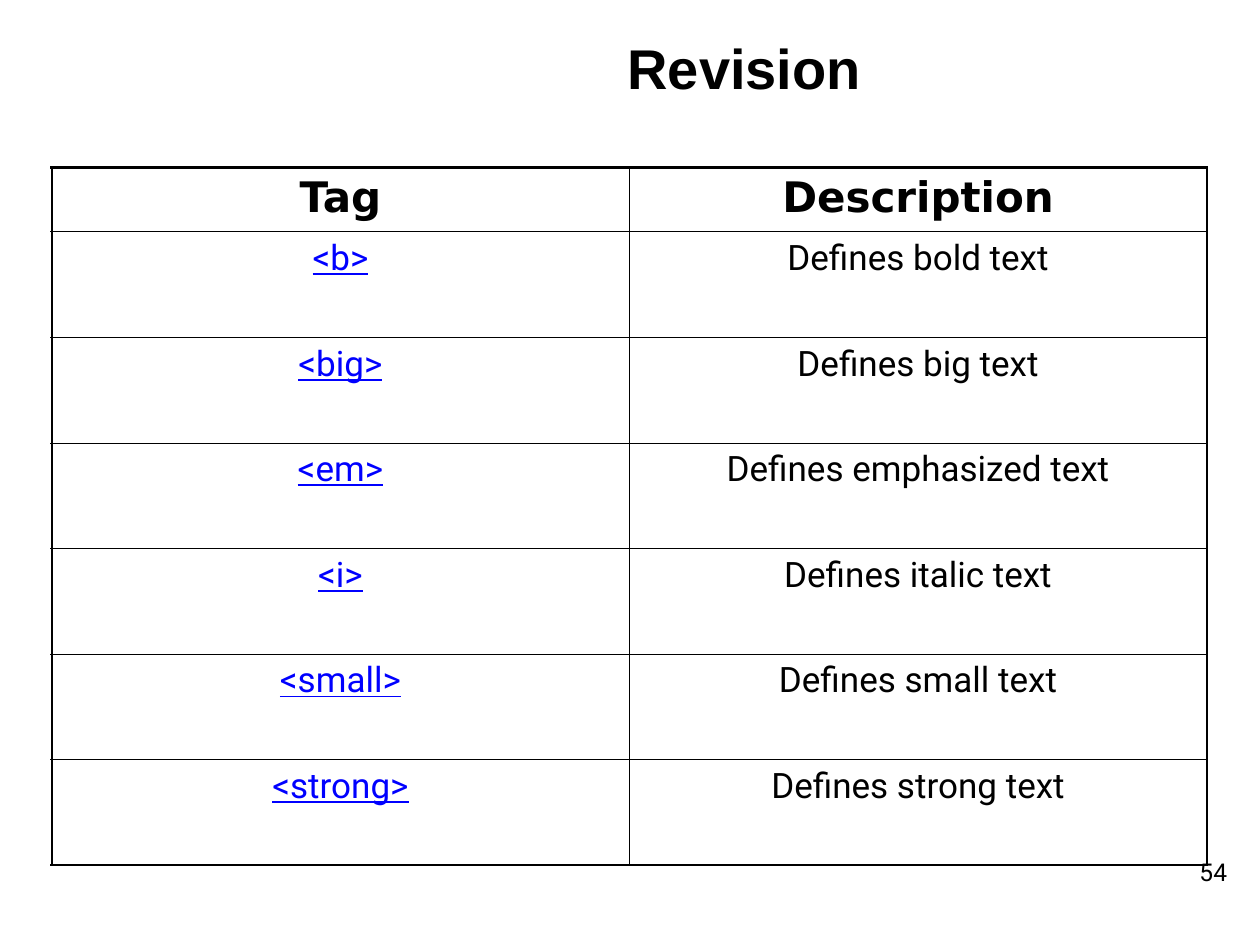
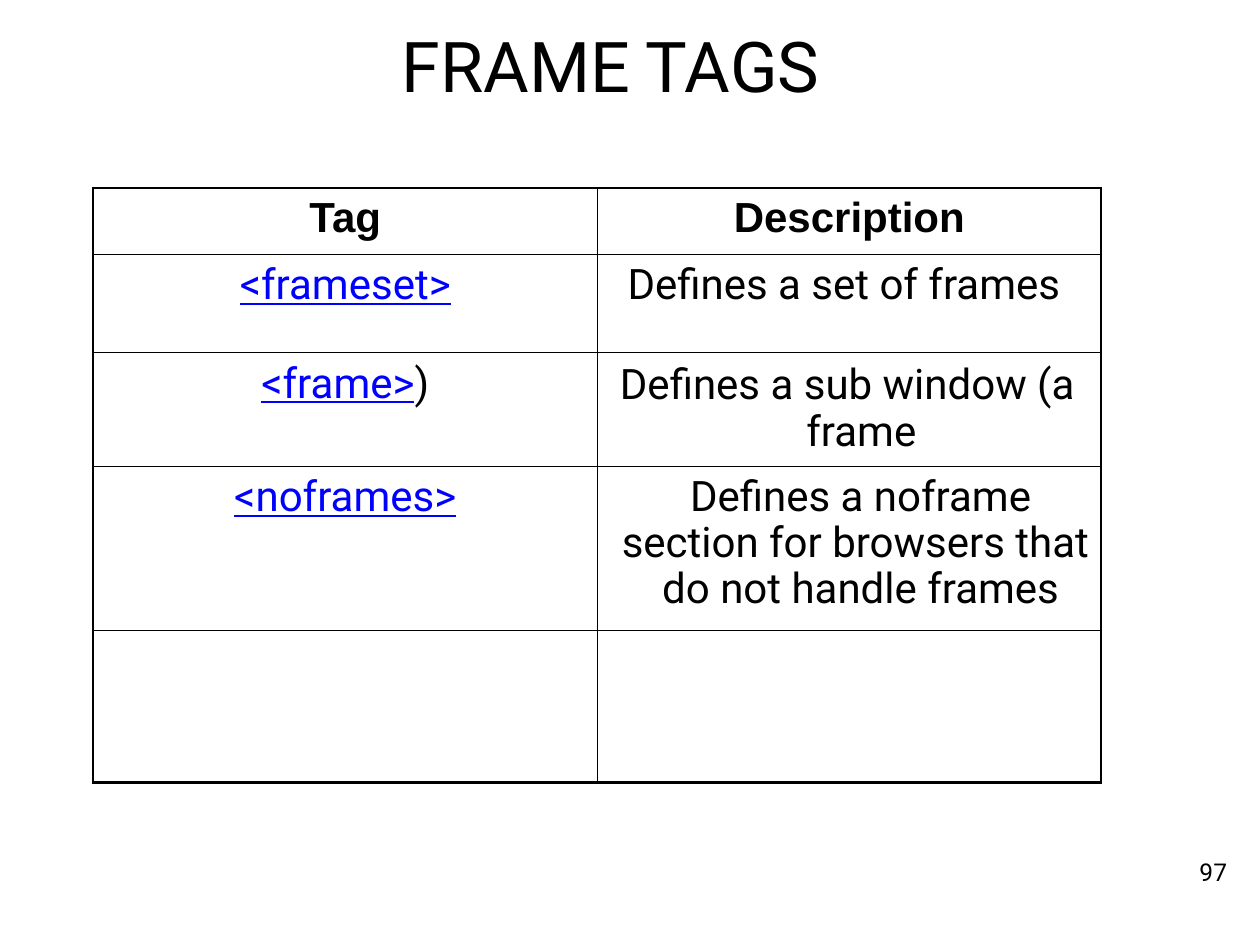
from dataclasses import dataclass

from lxml.etree import SubElement
from pptx import Presentation
from pptx.dml.color import RGBColor
from pptx.enum.text import PP_ALIGN
from pptx.oxml.ns import qn
from pptx.util import Inches, Pt

BLACK = RGBColor(0x00, 0x00, 0x00)
LINK_BLUE = RGBColor(0x00, 0x00, 0xFF)
BODY_FONT = "Roboto"
COLUMNS, ROWS = 100, 75
CELL = Inches(0.1)
OUTER_LINE, INNER_LINE = Pt(1.5), Pt(0.5)


@dataclass
class Box:
    """A region measured in grid columns and rows."""
    left: float
    top: float
    width: float
    height: float

    def lengths(self):
        """Return the region as slide lengths."""
        return [round(part * CELL) for part in (self.left, self.top, self.width, self.height)]


@dataclass
class TagRow:
    """One tag with its description and the layout of that description."""
    tag: str
    description: str
    rows: float
    tail: str = ""
    align: PP_ALIGN = PP_ALIGN.CENTER
    indent: float = 0
    hanging: float = 0
    line_spacing: float | Pt | None = None
    space_before: float = 3.4
    inset: float = 0.5


NUMBER_BOX = Box(94.8, 68.1, 3, 2.5)


def style_span(span, font, size, color=BLACK, bold=False, underline=False):
    """Set the look of one run."""
    span.font.name = font
    span.font.size = Pt(size)
    span.font.color.rgb = color
    span.font.bold = bold
    span.font.underline = underline


def set_indent(para, left, first=0):
    """Indent a paragraph by grid columns."""
    properties = para._p.get_or_add_pPr()
    properties.set("marL", str(round(left * CELL)))
    properties.set("indent", str(round(first * CELL)))


def add_line_of_text(page, box, text, size, font, bold=False, indent=0.1):
    """Place a single line of text and return its paragraph."""
    frame = page.shapes.add_textbox(*box.lengths()).text_frame
    frame.word_wrap = False
    frame.margin_left = frame.margin_right = frame.margin_bottom = 0
    frame.margin_top = 0
    frame.text = text
    para = frame.paragraphs[0]
    set_indent(para, indent)
    style_span(para.runs[0], font, size, bold=bold)
    return para


def add_title(page, box, text, size, font, bold=False):
    """Place the slide title."""
    add_line_of_text(page, box, text, size, font, bold).space_before = Pt(1)


def add_page_number(page, number):
    """Place the page number in the lower right corner."""
    para = add_line_of_text(page, NUMBER_BOX, str(number), 14, BODY_FONT, indent=0.4)
    para.line_spacing = Pt(16.4)


def draw_borders(cell, outer_sides):
    """Draw heavy lines on the outer sides of a cell and thin ones elsewhere."""
    properties = cell._tc.get_or_add_tcPr()
    for side in "LRTB":
        width = OUTER_LINE if side in outer_sides else INNER_LINE
        line = SubElement(properties, qn(f"a:ln{side}"), w=str(width))
        fill = SubElement(line, qn("a:solidFill"))
        SubElement(fill, qn("a:srgbClr"), val=str(BLACK))


def prepare_cell(table, row, column):
    """Clear the fill of a cell and set its borders and margins."""
    cell = table.cell(row, column)
    edges = {"L": column == 0, "R": column == len(table.columns) - 1,
             "T": row == 0, "B": row == len(table.rows) - 1}
    draw_borders(cell, [side for side, outer in edges.items() if outer])
    cell.fill.background()
    cell.margin_left = cell.margin_right = cell.margin_bottom = 0
    cell.margin_top = round(0.5 * CELL)
    return cell


def write_cell(cell, text, align=PP_ALIGN.CENTER, space_before=3.4):
    """Write one paragraph into a cell and return it."""
    cell.text_frame.text = text
    para = cell.text_frame.paragraphs[0]
    para.alignment = align
    para.space_before = Pt(space_before)
    return para


def fill_tag(cell, entry, size):
    """Write the underlined tag and any text after it."""
    para = write_cell(cell, entry.tag)
    style_span(para.runs[0], BODY_FONT, size, LINK_BLUE, underline=True)
    if entry.tail:
        span = para.add_run()
        span.text = entry.tail
        style_span(span, BODY_FONT, size)


def fill_description(cell, entry, size):
    """Write the description of a tag."""
    para = write_cell(cell, entry.description, entry.align, entry.space_before)
    cell.margin_top = round(entry.inset * CELL)
    set_indent(para, entry.indent, entry.hanging)
    para.line_spacing = entry.line_spacing
    style_span(para.runs[0], BODY_FONT, size)


def add_tag_table(page, box, header_rows, header_font, size, entries):
    """Place a table of tags and descriptions in the given box."""
    table = page.shapes.add_table(len(entries) + 1, 2, *box.lengths()).table
    table.first_row = table.horz_banding = False
    for column in table.columns:
        column.width = round(box.width / 2 * CELL)
    heights = [header_rows] + [entry.rows for entry in entries]
    for row, height in zip(table.rows, heights):
        row.height = round(height * CELL)
    for column, heading in enumerate(("Tag", "Description")):
        para = write_cell(prepare_cell(table, 0, column), heading)
        style_span(para.runs[0], header_font, 24, bold=True)
    for row, entry in enumerate(entries, start=1):
        tag_cell, description_cell = (prepare_cell(table, row, column) for column in range(2))
        if entry.tag:
            fill_tag(tag_cell, entry, size)
            fill_description(description_cell, entry, size)


def build_revision(page):
    """Build the revision slide on text formatting tags."""
    meanings = {"b": "bold", "big": "big", "em": "emphasized",
                "i": "italic", "small": "small", "strong": "strong"}
    entries = [TagRow(f"<{tag}>", f"Defines {meaning} text", 8.38)
               for tag, meaning in meanings.items()]
    add_page_number(page, 54)
    add_title(page, Box(49.7, 2.7, 18.8, 5.6), "Revision", 32, "Arial", bold=True)
    add_tag_table(page, Box(4.1, 13.3, 91.7, 55.4), 5.1, "DejaVu Sans", 20, entries)


def build_frame_tags(page):
    """Build the slide on frame tags."""
    entries = [
        TagRow("<frameset>", "Defines a set of frames", 7.8, align=PP_ALIGN.LEFT, indent=2.4),
        TagRow("<frame>", "Defines a sub window (a frame", 9, tail=")", align=PP_ALIGN.LEFT,
               indent=16.6, hanging=-14.8, line_spacing=Pt(26.7), space_before=6, inset=0.8),
        TagRow("<noframes>", "Defines a noframe section for browsers that  do not handle frames",
               13, indent=1.8, line_spacing=0.93, space_before=5.3, inset=0.7),
        TagRow("", "", 12.1),
    ]
    add_page_number(page, 97)
    add_title(page, Box(31.8, 1.8, 36.4, 6.9), "FRAME TAGS", 40, BODY_FONT)
    add_tag_table(page, Box(7.4, 14.9, 80, 47.3), 5.3, "Arial", 24, entries)


def main():
    """Build and save the deck."""
    deck = Presentation()
    deck.slide_width, deck.slide_height = COLUMNS * CELL, ROWS * CELL
    for build in (build_revision, build_frame_tags):
        build(deck.slides.add_slide(deck.slide_layouts[6]))
    deck.save("out.pptx")


if __name__ == "__main__":
    main()
